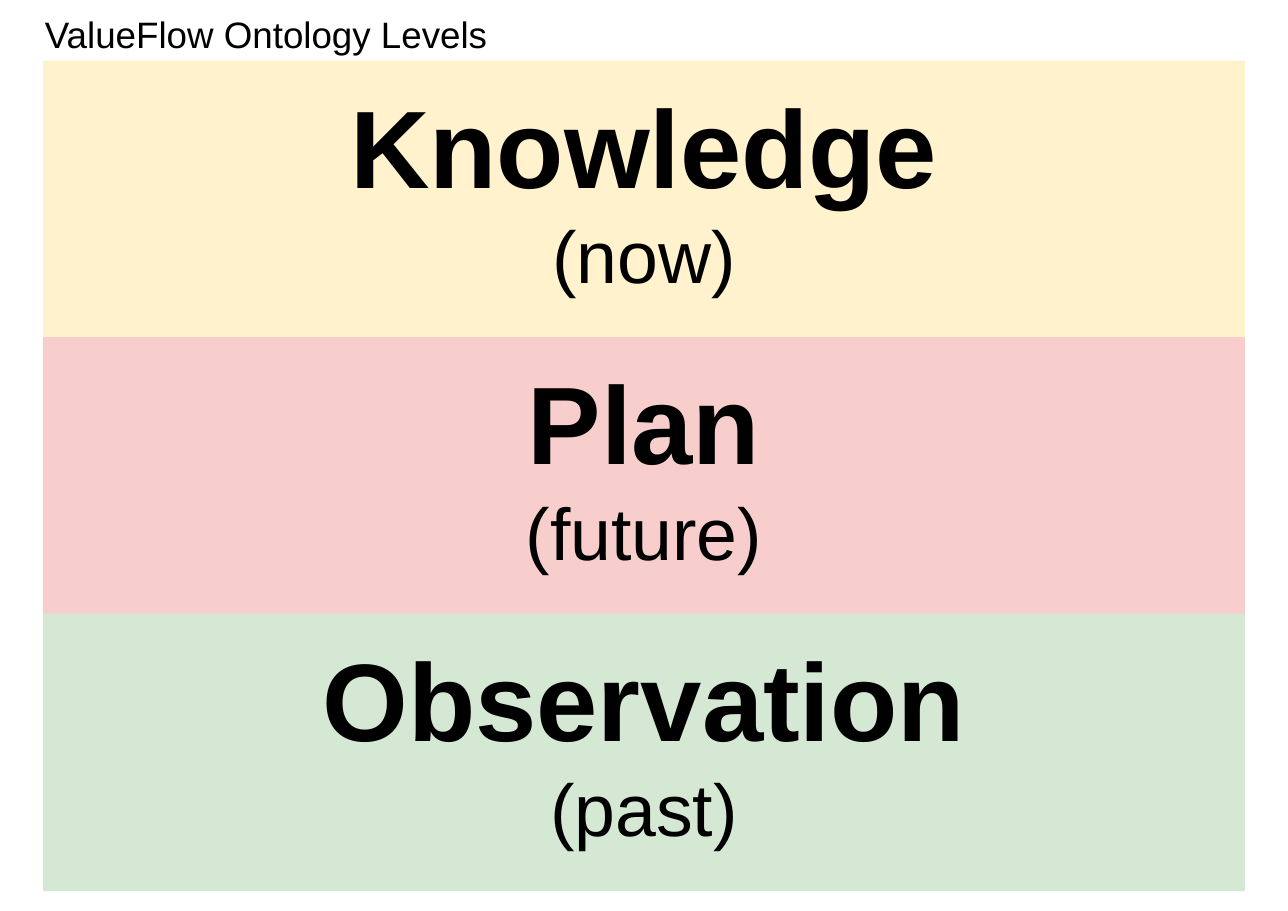
from pptx import Presentation
from pptx.dml.color import RGBColor
from pptx.enum.shapes import MSO_SHAPE
from pptx.enum.text import MSO_ANCHOR, PP_ALIGN
from pptx.util import Inches, Pt

RECTANGLE = MSO_SHAPE.RECTANGLE
TOP = MSO_ANCHOR.TOP
LEFT, CENTER = PP_ALIGN.LEFT, PP_ALIGN.CENTER

BLACK = RGBColor(0x00, 0x00, 0x00)
CREAM = RGBColor(0xFF, 0xF2, 0xCC)
PINK = RGBColor(0xF8, 0xCE, 0xCC)
GREEN = RGBColor(0xD5, 0xE8, 0xD4)

LEVELS = [
    ("Knowledge", "(now)", CREAM),
    ("Plan", "(future)", PINK),
    ("Observation", "(past)", GREEN),
]
BAND_LEFT, BAND_TOP = 0.39, 0.55
BAND_WIDTH, BAND_HEIGHT = 10.91, 2.52
BAND_STEP = 2.51


class LevelsSlide:
    font = "Arial"
    color = BLACK

    def __init__(self, page):
        self.page = page

    def add_lines(self, frame, lines, align, top_inset=0.05):
        """Fill a text frame with one paragraph per (text, size, bold) line."""
        frame.word_wrap = True
        frame.vertical_anchor = TOP
        frame.margin_left = frame.margin_right = Inches(0.1)
        frame.margin_top = Inches(top_inset)
        frame.margin_bottom = Inches(0.05)
        for index, (text, size, bold) in enumerate(lines):
            para = frame.add_paragraph() if index else frame.paragraphs[0]
            para.alignment = align
            span = para.add_run()
            span.text = text
            span.font.name = self.font
            span.font.size = Pt(size)
            span.font.bold = bold
            span.font.color.rgb = self.color

    def title(self, text, left, top, width, height):
        box = self.page.shapes.add_textbox(
            Inches(left), Inches(top), Inches(width), Inches(height))
        self.add_lines(box.text_frame, [(text, 24, False)], LEFT)

    def band(self, name, time, fill, top):
        box = self.page.shapes.add_shape(
            RECTANGLE, Inches(BAND_LEFT), Inches(top),
            Inches(BAND_WIDTH), Inches(BAND_HEIGHT))
        box.shadow.inherit = False
        box.fill.solid()
        box.fill.fore_color.rgb = fill
        box.line.fill.background()
        lines = [(name, 72, True), (time, 48, False)]
        self.add_lines(box.text_frame, lines, CENTER, top_inset=0.16)


def main():
    deck = Presentation()
    deck.slide_width, deck.slide_height = Inches(11.69), Inches(8.27)
    slide = LevelsSlide(deck.slides.add_slide(deck.slide_layouts[6]))
    for index, (name, time, fill) in enumerate(LEVELS):
        slide.band(name, time, fill, BAND_TOP + index * BAND_STEP)
    slide.title("ValueFlow Ontology Levels", 0.31, 0.06, 4.63, 0.47)
    deck.save("out.pptx")


if __name__ == "__main__":
    main()
